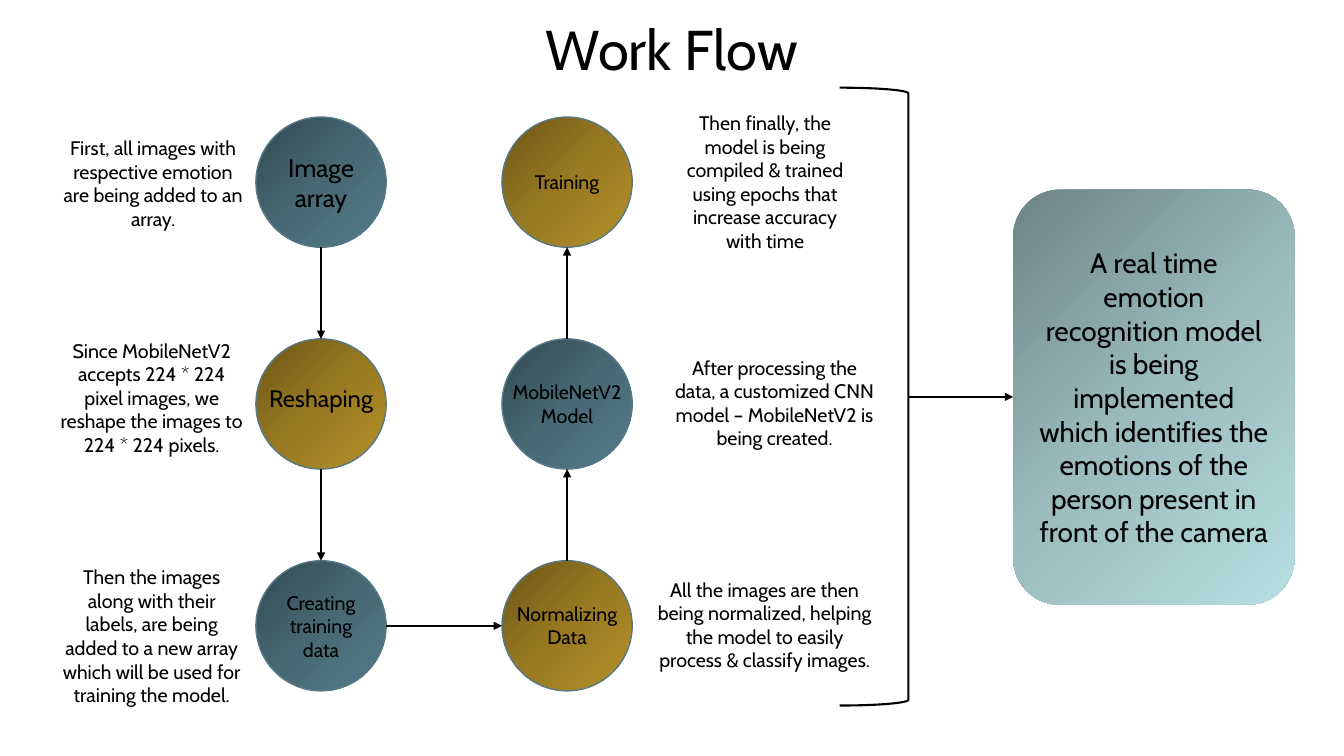
from copy import deepcopy

from lxml import etree
from pptx import Presentation
from pptx import util as u
from pptx.dml.color import RGBColor
from pptx.enum import shapes, text
from pptx.oxml import ns

BLACK = RGBColor(0, 0, 0)
RIM = RGBColor(0x58, 0x7A, 0x86)
TEAL = [RGBColor.from_string(c) for c in ("324951", "476874", "557C89")]
GOLD = [RGBColor.from_string(c) for c in ("6B5618", "997A22", "B59029")]
PALE = [RGBColor.from_string(c) for c in ("6D8485", "9BBBBD", "B7DEE1")]

# Circle grid, in cm
SIZE = 3.28
COLS = (6.45, 12.65)
ROWS = [2.95 + 5.59 * n for n in range(3)]
HALF = SIZE / 2

# Circles: column, row, colours, words, text size
STEPS = [
    (0, 0, TEAL, "Image\narray", 18),
    (0, 1, GOLD, "", 14),
    (0, 2, TEAL, "Creating training data", 14),
    (1, 2, GOLD, "", 14),
    (1, 1, TEAL, "", 14),
    (1, 0, GOLD, "Training", 14),
]

# Labels laid over circles: column, top, height, words, text size
LABELS = [
    (0, 9.55, 0.99, "Reshaping", 17),
    (1, 15.04, 1.45, "Normalizing\nData", 14),
    (1, 9.45, 1.45, "MobileNetV2\nModel", 14),
]

# Notes beside circles: box, words
NOTES = [
    ((1.27, 3.3, 5.18, 2.64),
     "First, all images with respective emotion are being added to an array."),
    ((1.27, 8.41, 5.11, 3.25),
     "Since MobileNetV2 accepts 224 * 224 pixel images, we reshape the images to\n"
     "224 * 224 pixels."),
    ((1.27, 14.12, 5.11, 3.84),
     "Then the images along with their labels, are being added to a new array "
     "which will be used for training the model."),
    ((16.26, 14.43, 6.02, 2.64),
     "All the images are then being normalized, helping the model to easily "
     "process & classify images."),
    ((16.74, 8.84, 5.56, 2.64),
     "After processing the data, a customized CNN model – MobileNetV2 is being "
     "created."),
    ((16.74, 2.67, 5.08, 3.84),
     "Then finally, the model is being compiled & trained using epochs that "
     "increase accuracy with time"),
]

GOAL = ("A real time emotion recognition model is being implemented which "
        "identifies the emotions of the person present in front of the camera")


def put(item, values):
    for name, value in values.items():
        setattr(item, name, value)


def cm(values):
    return [u.Cm(v) for v in values]


def write(shape, words, size, **frame):
    body = shape.text_frame
    body.text = words
    put(body, {"word_wrap": True, **frame})
    for para in body.paragraphs:
        para.alignment = text.PP_ALIGN.CENTER
        put(para.font, {"name": "Cabin", "size": u.Pt(size)})
        para.font.color.rgb = BLACK


def add_text(slide, box, words, size):
    shape = slide.shapes.add_textbox(*cm(box))
    write(shape, words, size, auto_size=text.MSO_AUTO_SIZE.SHAPE_TO_FIT_TEXT)


def add_form(slide, kind, box, tones=None, rim=None, width=1):
    shape = slide.shapes.add_shape(kind, *cm(box))
    shape.shadow.inherit = False
    if tones:
        shade(shape, tones)
    else:
        shape.fill.background()
    if rim is None:
        shape.line.fill.background()
    else:
        shape.line.color.rgb = rim
        shape.line.width = u.Pt(width)
    return shape


def shade(shape, tones):
    """Three even stops, running from top left to bottom right."""
    shape.fill.gradient()
    shape.fill.gradient_angle = 315
    stops = shape._element.spPr.find(".//" + ns.qn("a:gsLst"))
    stops.insert(1, deepcopy(stops[0]))
    for n, (stop, tone) in enumerate(zip(shape.fill.gradient_stops, tones)):
        stop.color.rgb = tone
        stop.position = n / 2


def add_arrow(slide, start, end):
    line = slide.shapes.add_connector(
        shapes.MSO_CONNECTOR.STRAIGHT, *cm(start + end))
    line.line.color.rgb = BLACK
    line.line.width = u.Pt(1.5)
    etree.SubElement(line.line._get_or_add_ln(), ns.qn("a:tailEnd"),
                     type="triangle")
    etree.SubElement(line._element.spPr, ns.qn("a:effectLst"))


def main():
    deck = Presentation()
    put(deck, {"slide_width": u.Inches(13.333), "slide_height": u.Inches(7.5)})
    slide = deck.slides.add_slide(deck.slide_layouts[5])
    kind = shapes.MSO_SHAPE
    middle = text.MSO_ANCHOR.MIDDLE

    # Title
    title = slide.shapes.title
    put(title, dict(zip(("left", "top", "width", "height"),
                        cm((8.66, 0.25, 16.54, 1.96)))))
    write(title, "Work Flow", 40, vertical_anchor=text.MSO_ANCHOR.TOP,
          auto_size=text.MSO_AUTO_SIZE.NONE)

    # Circles, labels and notes
    for col, row, tones, words, size in STEPS:
        disc = add_form(slide, kind.OVAL, (COLS[col], ROWS[row], SIZE, SIZE),
                        tones, RIM)
        if words:
            write(disc, words, size, vertical_anchor=middle)
    for col, top, height, words, size in LABELS:
        add_text(slide, (COLS[col], top, SIZE, height), words, size)
    for box, words in NOTES:
        add_text(slide, box, words, 14)

    # Arrows: down the first column, across, up the second
    left, right = (x + HALF for x in COLS)
    for high, low in zip(ROWS, ROWS[1:]):
        add_arrow(slide, (left, high + SIZE), (left, low))
        add_arrow(slide, (right, low), (right, high + SIZE))
    base = ROWS[-1] + HALF
    add_arrow(slide, (COLS[0] + SIZE, base), (COLS[1], base))

    # Bracket and goal
    add_form(slide, kind.RIGHT_BRACKET, (21.16, 2.21, 1.73, 15.57),
             rim=BLACK, width=1.5)
    card = add_form(slide, kind.ROUNDED_RECTANGLE, (25.53, 4.78, 7.09, 10.46),
                    PALE)
    write(card, GOAL, 20, vertical_anchor=middle)
    add_arrow(slide, (22.89, 10), (25.53, 10))

    deck.save("out.pptx")


main()
